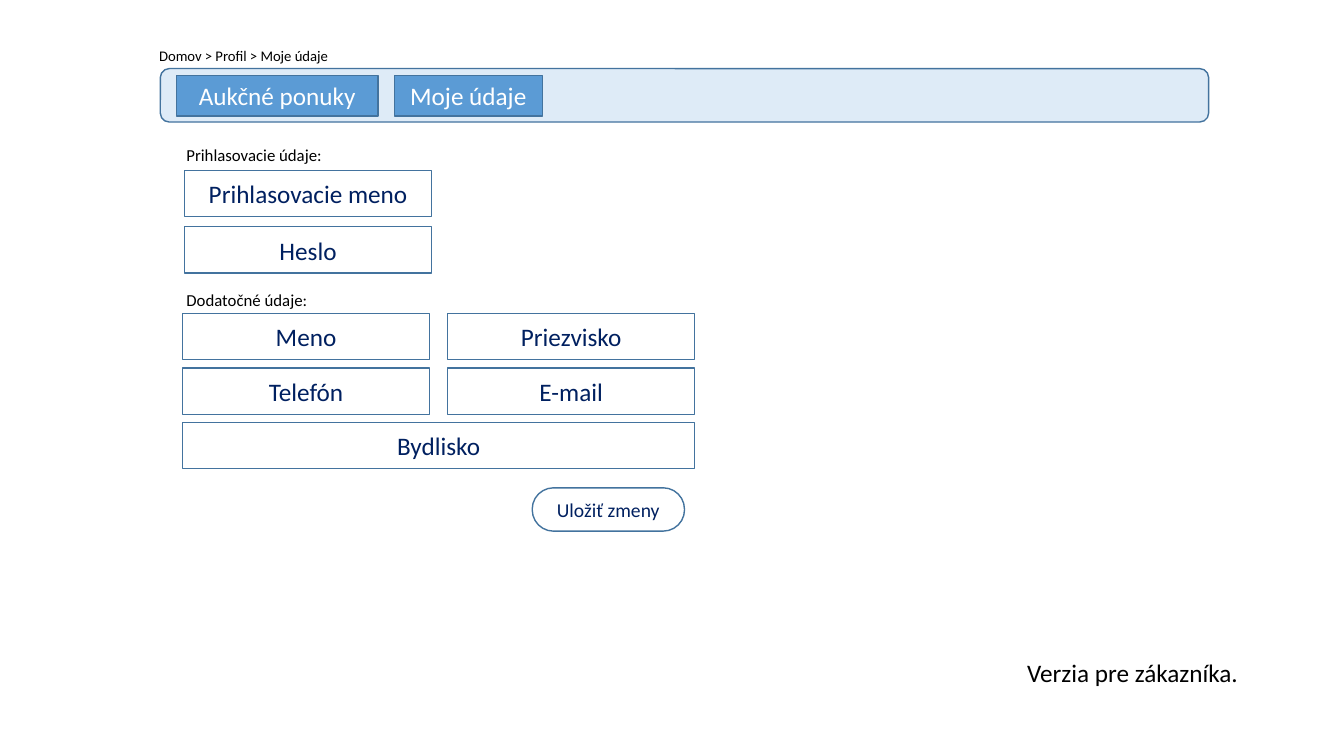
from dataclasses import dataclass

from pptx import Presentation
from pptx.dml.color import RGBColor
from pptx.enum.shapes import MSO_SHAPE as Preset
from pptx.enum.text import MSO_ANCHOR as Anchor, PP_ALIGN as Align
from pptx.shapes.autoshape import Shape
from pptx.slide import Slide
from pptx.text.text import TextFrame
from pptx.util import Inches, Pt

SLIDE_WIDTH = Inches(13.333)
SLIDE_HEIGHT = Inches(7.5)


@dataclass(frozen=True)
class Theme:
    font: str = "Calibri"
    outline: str = "43739E"
    bar: str = "DEEBF7"
    tab: str = "5B9BD5"
    white: str = "FFFFFF"
    navy: str = "002060"
    black: str = "000000"
    body: float = 18
    button: float = 14
    label: float = 12
    breadcrumb: float = 10.5


THEME = Theme()


@dataclass(frozen=True)
class Area:
    """Left, top, width and height as percentages of the slide."""
    left: float
    top: float
    width: float
    height: float

    def lengths(self) -> tuple[int, int, int, int]:
        return (
            round(SLIDE_WIDTH * self.left / 100),
            round(SLIDE_HEIGHT * self.top / 100),
            round(SLIDE_WIDTH * self.width / 100),
            round(SLIDE_HEIGHT * self.height / 100),
        )


@dataclass(frozen=True)
class Grid:
    left: float
    top: float
    row_step: float
    column_step: float = 19.73
    cell_width: float = 18.38
    cell_height: float = 6.13

    def area(self, column: int, row: int, columns: int) -> Area:
        return Area(
            self.left + column * self.column_step,
            self.top + row * self.row_step,
            self.cell_width + (columns - 1) * self.column_step,
            self.cell_height,
        )


@dataclass(frozen=True)
class Field:
    text: str
    grid: Grid
    column: int
    row: int
    columns: int = 1


@dataclass(frozen=True)
class Tab:
    text: str
    width: float


@dataclass(frozen=True)
class Label:
    text: str
    area: Area
    size: float
    wrap: bool = False


LOGIN = Grid(13.73, 22.53, row_step=7.47)
DETAILS = Grid(13.58, 41.47, row_step=7.2)

FIELDS = [
    Field("Prihlasovacie meno", LOGIN, 0, 0),
    Field("Heslo", LOGIN, 0, 1),
    Field("Meno", DETAILS, 0, 0),
    Field("Priezvisko", DETAILS, 1, 0),
    Field("Telefón", DETAILS, 0, 1),
    Field("E-mail", DETAILS, 1, 1),
    Field("Bydlisko", DETAILS, 0, 2, columns=2),
]

TABS = [Tab("Aukčné ponuky", 15), Tab("Moje údaje", 11.03)]
TAB_LEFT = 13.13
TAB_GAP = 1.2

BAR = Area(11.93, 9.07, 78, 7.07)
SAVE_BUTTON = Area(39.6, 64.53, 11.33, 5.73)

LABELS = [
    Label("Domov > Profil > Moje údaje", Area(11.1, 5.6, 46.05, 3.73), THEME.breadcrumb, wrap=True),
    Label("Prihlasovacie údaje:", Area(13.13, 18.53, 11.7, 4), THEME.label),
    Label("Dodatočné údaje:", Area(13.13, 37.73, 10.58, 4), THEME.label),
    Label("Verzia pre zákazníka.", Area(75.68, 86.27, 17.4, 5.33), THEME.body),
]


def write(frame: TextFrame, text: str, *, size: float, color: str,
          align: Align = Align.LEFT, anchor: Anchor = Anchor.TOP, wrap: bool = True) -> None:
    frame.word_wrap = wrap
    frame.vertical_anchor = anchor
    para = frame.paragraphs[0]
    para.alignment = align
    span = para.add_run()
    span.text = text
    span.font.name = THEME.font
    span.font.size = Pt(size)
    span.font.color.rgb = RGBColor.from_string(color)


def draw_box(page: Slide, area: Area, *, fill: str = THEME.white, text: str = "",
             size: float = THEME.body, color: str = THEME.navy,
             preset: Preset = Preset.RECTANGLE) -> Shape:
    box = page.shapes.add_shape(preset, *area.lengths())
    box.shadow.inherit = False
    box.fill.solid()
    box.fill.fore_color.rgb = RGBColor.from_string(fill)
    box.line.color.rgb = RGBColor.from_string(THEME.outline)
    box.line.width = Pt(1)
    if text:
        write(box.text_frame, text, size=size, color=color,
              align=Align.CENTER, anchor=Anchor.MIDDLE)
    return box


def draw_tabs(page: Slide) -> None:
    left = TAB_LEFT
    for tab in TABS:
        draw_box(page, Area(left, 10, tab.width, 5.33), fill=THEME.tab,
                 text=tab.text, color=THEME.white)
        left += tab.width + TAB_GAP


def draw_label(page: Slide, label: Label) -> None:
    box = page.shapes.add_textbox(*label.area.lengths())
    write(box.text_frame, label.text, size=label.size, color=THEME.black, wrap=label.wrap)


def main() -> None:
    deck = Presentation()
    deck.slide_width = SLIDE_WIDTH
    deck.slide_height = SLIDE_HEIGHT
    page = deck.slides.add_slide(deck.slide_layouts[6])

    draw_box(page, BAR, fill=THEME.bar, preset=Preset.ROUNDED_RECTANGLE)
    draw_tabs(page)
    for field in FIELDS:
        draw_box(page, field.grid.area(field.column, field.row, field.columns), text=field.text)
    button = draw_box(page, SAVE_BUTTON, text="Uložiť zmeny", size=THEME.button,
                      preset=Preset.ROUNDED_RECTANGLE)
    button.adjustments[0] = 0.49
    for label in LABELS:
        draw_label(page, label)

    deck.save("out.pptx")


if __name__ == "__main__":
    main()
